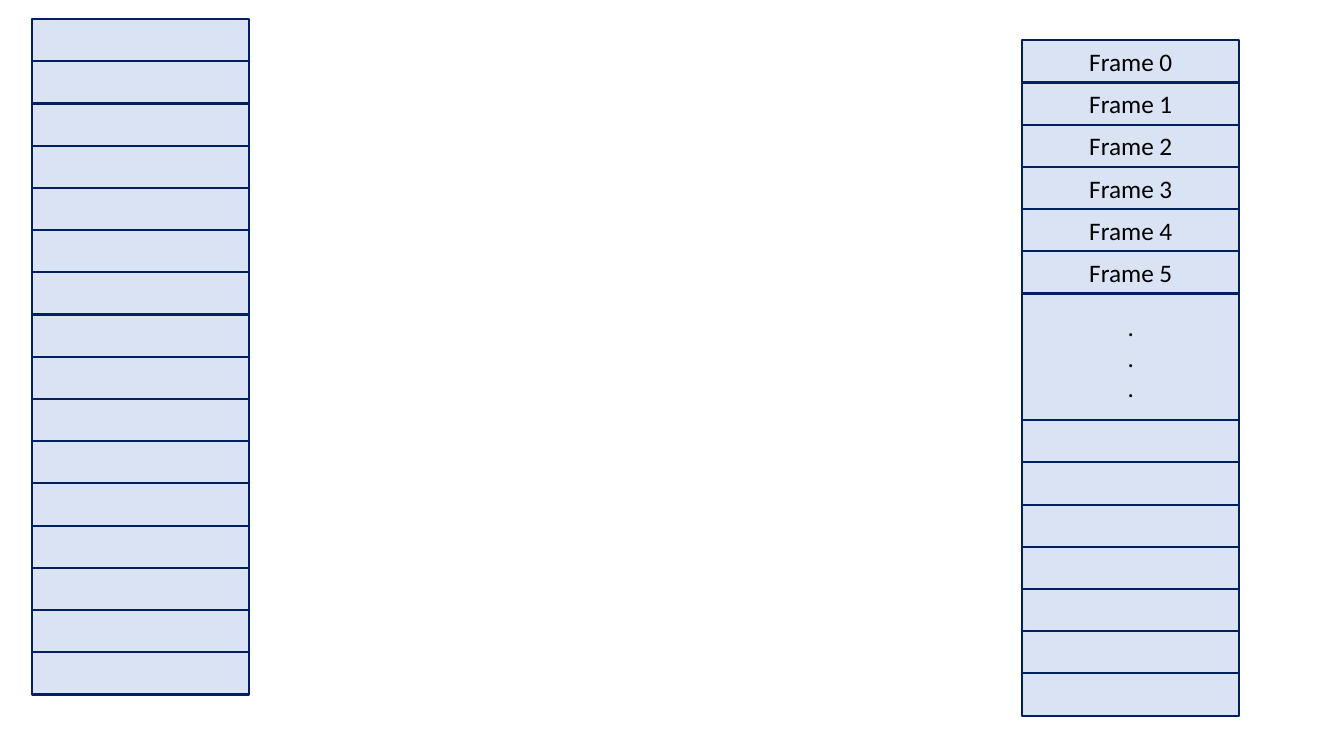
from pptx import Presentation
from pptx import util as u
from pptx.dml.color import RGBColor
from pptx.enum import shapes, text

ROWS = 16
COLUMN_WIDTH, COLUMN_HEIGHT = 2.15, 6.7
CELL_FILL, CELL_LINE, CELL_TEXT = "DAE3F3", "002060", "000000"


def color(hex_code):
    """Turn a hex string into a colour."""
    return RGBColor.from_string(hex_code)


def add_cell(slide, left, top, width, height, lines):
    """Draw one memory cell with its centred lines of text."""
    cell = slide.shapes.add_shape(
        shapes.MSO_SHAPE.RECTANGLE,
        u.Inches(left), u.Inches(top), u.Inches(width), u.Inches(height))
    cell.shadow.inherit = False
    cell.fill.solid()
    cell.fill.fore_color.rgb = color(CELL_FILL)
    cell.line.color.rgb = color(CELL_LINE)
    cell.line.width = u.Pt(1.5)
    frame = cell.text_frame
    frame.word_wrap = True
    frame.vertical_anchor = text.MSO_ANCHOR.MIDDLE
    for index, line in enumerate(lines):
        paragraph = frame.add_paragraph() if index else frame.paragraphs[0]
        paragraph.alignment = text.PP_ALIGN.CENTER
        run = paragraph.add_run()
        run.text = line
        run.font.name = "Calibri"
        run.font.size = u.Pt(18)
        run.font.color.rgb = color(CELL_TEXT)


def add_memory_column(slide, left, top, width, height, cells):
    """Stack cells, given as (rows spanned, lines), inside the box."""
    row_height = height / ROWS
    row = 0
    for span, lines in cells:
        add_cell(slide, left, top + row * row_height,
                 width, span * row_height, lines)
        row += span


def main():
    """Build the slide with physical frames and empty pages."""
    presentation = Presentation()
    presentation.slide_width = u.Inches(13.33)
    presentation.slide_height = u.Inches(7.5)
    slide = presentation.slides.add_slide(presentation.slide_layouts[6])

    empty_cell = (1, [])
    frames = [(1, [f"Frame {number}"]) for number in range(6)]
    frames += [(3, ["."] * 3)] + [empty_cell] * 7
    pages = [empty_cell] * ROWS

    add_memory_column(slide, 10.14, 0.4, COLUMN_WIDTH, COLUMN_HEIGHT, frames)
    add_memory_column(slide, 0.32, 0.19, COLUMN_WIDTH, COLUMN_HEIGHT, pages)
    presentation.save("out.pptx")


if __name__ == "__main__":
    main()
